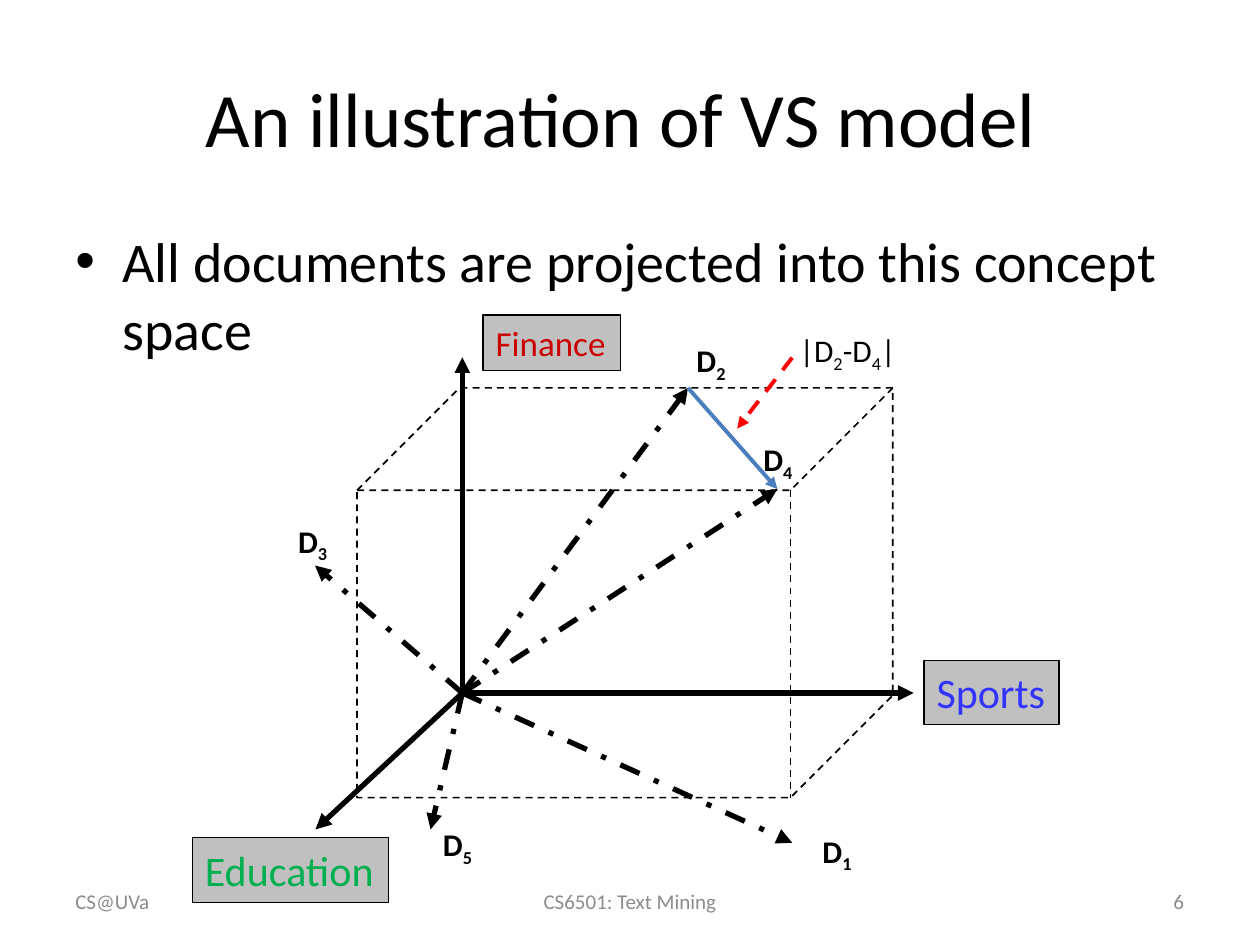
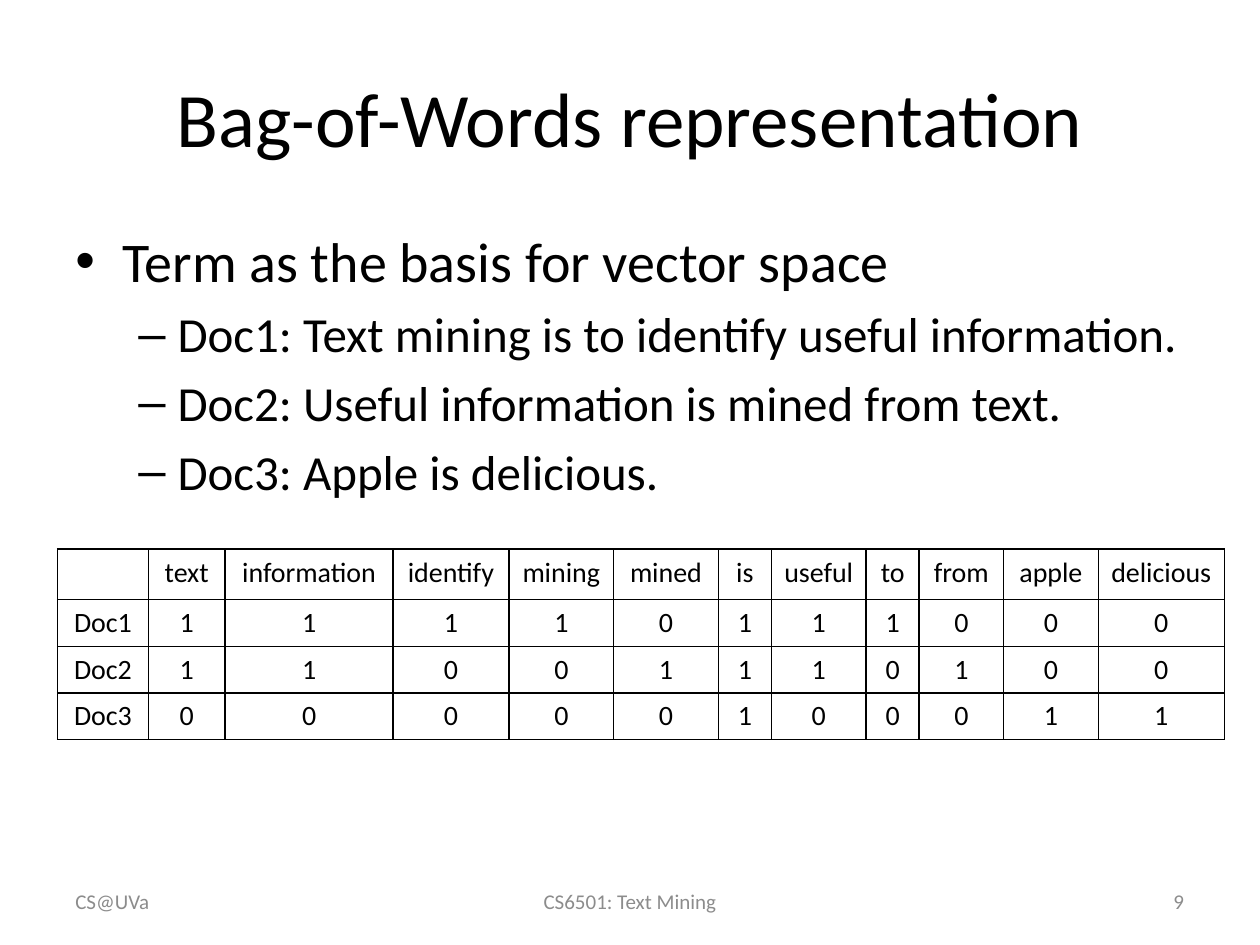
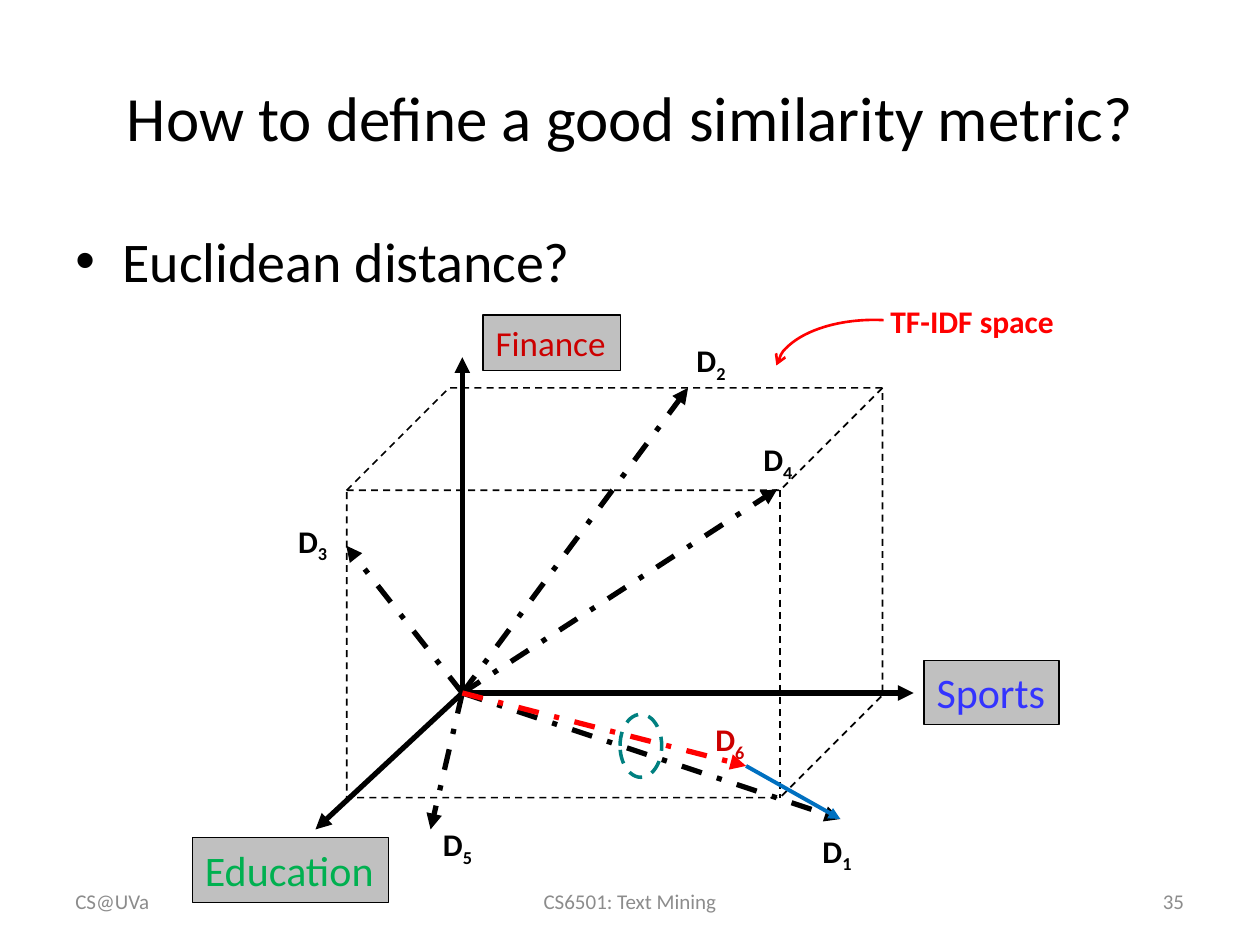
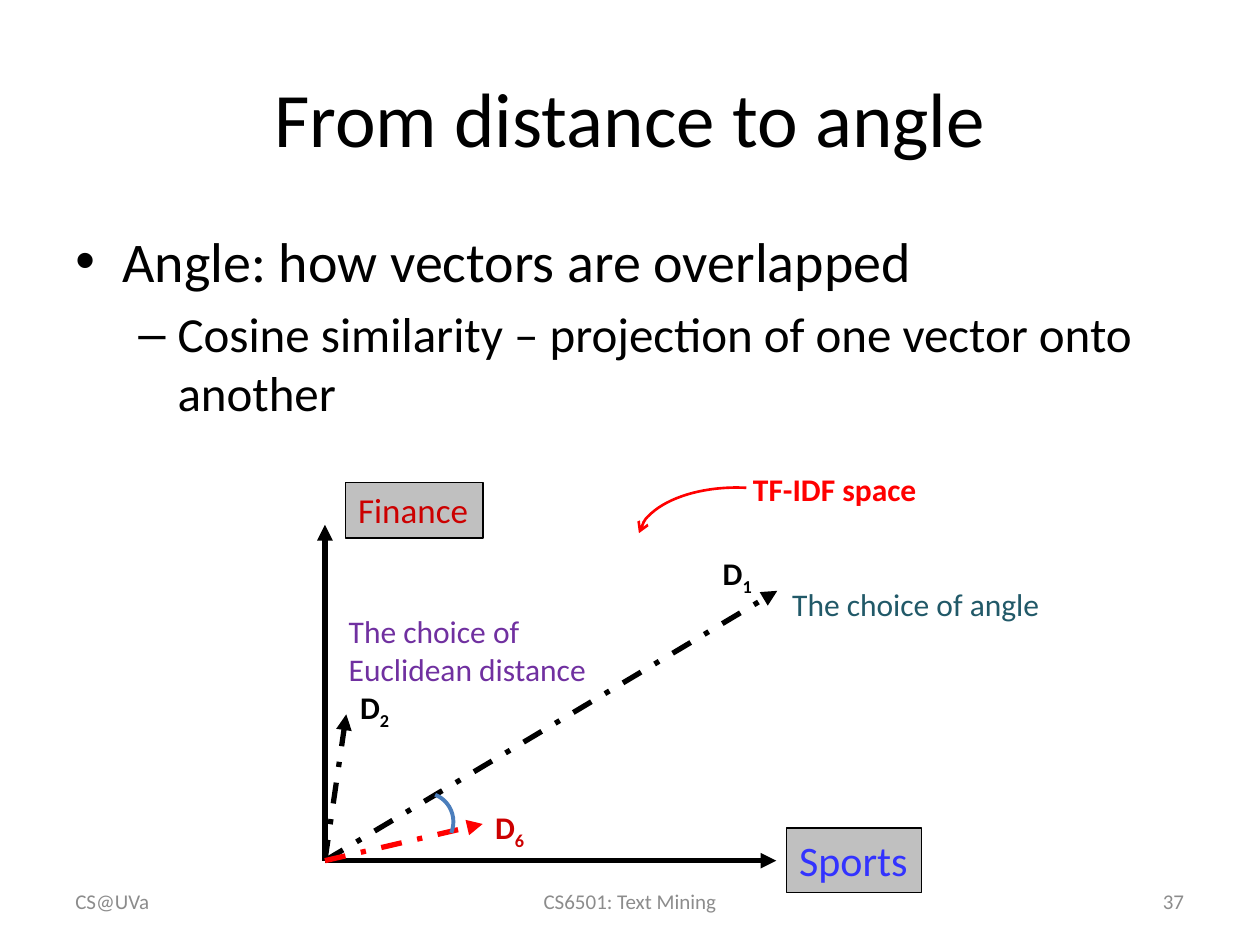
from pptx import Presentation
from pptx.util import Cm, Pt
from pptx.dml.color import RGBColor
from pptx.enum.dml import MSO_LINE
from pptx.enum.shapes import MSO_CONNECTOR, MSO_SHAPE
from pptx.enum.text import MSO_ANCHOR, MSO_AUTO_SIZE, PP_ALIGN
from pptx.oxml.ns import qn
from lxml.etree import SubElement

FONT = "Calibri"
BLACK, GRAY, FOOT = "000000", "C0C0C0", "8C8C8C"
RED, BRICK, BLUE = "FF0000", "CC0000", "4B7EBC"
DASH, DOTTED = MSO_LINE.DASH, MSO_LINE.DASH_DOT

# Boxes shared by all slides, in cm: left, top, width, height
TITLE = (1.27, 0.76, 22.86, 3.18)
BODY = (1.27, 4.45, 22.86, 12.57)
FOOTERS = [((1.27, 17.65, 5.92, 1.02), PP_ALIGN.LEFT),
           ((8.68, 17.65, 8.04, 1.02), PP_ALIGN.CENTER),
           ((18.2, 17.65, 5.92, 1.02), PP_ALIGN.RIGHT)]

# Bullet levels: sign, text size, margin, hanging indent
LEVELS = [("\u2022", 32, 0.95, 0.95), ("\u2013", 28, 2.06, 0.79)]

# Axes from the origin: tip, name, box, size, colour
FINANCE = ((0, -6.77), "Finance", (0.42, -7.62, 2.77, 1.12), 20, BRICK)
SPORTS = ((9.1, 0), "Sports", (9.31, -0.66, 2.72, 1.3), 24, "3333FF")
SCHOOL = ((-2.96, 2.75), "Education", (-5.44, 2.92, 3.96, 1.3), 24, "00B050")

# Document vectors from the origin: number, tip, label corner
COMMON = [(4, (6.35, -4.11), (5.82, -5.23)),
          (5, (-0.64, 2.75), (-0.64, 2.54)),
          (2, (4.55, -6.15), (4.47, -7.21))]


# ---- Shared helpers ----
def tint(code):
    return RGBColor.from_string(code)


def put(obj, **vals):
    for key, val in vals.items():
        setattr(obj, key, val)


def shift(base, part):
    """Move a point or box by the base point."""
    return (base[0] + part[0], base[1] + part[1], *part[2:])


def write(par, text, size, color=BLACK, bold=False):
    """Add text to a paragraph; an underscore lowers the next character."""
    first, *rest = text.split("_")
    bits = [(first, False)]
    for bit in rest:
        bits += [(bit[0], True), (bit[1:], False)]
    for bit, low in bits:
        if bit:
            run = par.add_run()
            run.text = bit
            put(run.font, name=FONT, size=Pt(size), bold=bold)
            run.font.color.rgb = tint(color)
            if low:
                run.font._element.set("baseline", "-25000")


def label(slide, box, text, size=18, color=BLACK, bold=False, wrap=True,
          align=PP_ALIGN.LEFT, anchor=MSO_ANCHOR.TOP):
    shape = slide.shapes.add_textbox(*map(Cm, box))
    put(shape.text_frame, word_wrap=wrap, vertical_anchor=anchor)
    par = shape.text_frame.paragraphs[0]
    par.alignment = align
    write(par, text, size, color, bold)


def stroke(shape, color, width, dash=None, head=None, tail=None):
    shape.line.color.rgb = tint(color)
    put(shape.line, width=Pt(width), dash_style=dash)
    for tag, kind in (("a:headEnd", head), ("a:tailEnd", tail)):
        if kind:
            SubElement(shape.line._get_or_add_ln(), qn(tag)).set("type", kind)


def arrow(slide, start, end, color=BLACK, width=3, dash=None):
    line = slide.shapes.add_connector(
        MSO_CONNECTOR.STRAIGHT, *map(Cm, (*start, *end)))
    stroke(line, color, width, dash, tail="triangle")
    SubElement(line._element.spPr, qn("a:effectLst"))


def outline(slide, kind, box, color, width, **ends):
    shape = slide.shapes.add_shape(kind, *map(Cm, box))
    shape.shadow.inherit = False
    shape.fill.background()
    stroke(shape, color, width, **ends)
    return shape


# ---- Slide frame: title, bullets, footers ----
def bullets(slide, box, items):
    frame = slide.shapes.add_textbox(*map(Cm, box)).text_frame
    frame.word_wrap = True
    for i, (level, text) in enumerate(items):
        sign, size, margin, hang = LEVELS[level]
        par = frame.add_paragraph() if i else frame.paragraphs[0]
        put(par, level=level, space_before=Pt(size * 0.2))
        props = par._p.get_or_add_pPr()
        props.set("marL", str(Cm(margin)))
        props.set("indent", str(-Cm(hang)))
        SubElement(props, qn("a:buFont")).set("typeface", "Arial")
        SubElement(props, qn("a:buChar")).set("char", sign)
        write(par, text, size)


def page(deck, title, items, number, size=44):
    slide = deck.slides.add_slide(deck.slide_layouts[5])
    head = slide.shapes.title
    put(head, **dict(zip(("left", "top", "width", "height"), map(Cm, TITLE))))
    put(head.text_frame, word_wrap=True, vertical_anchor=MSO_ANCHOR.MIDDLE,
        auto_size=MSO_AUTO_SIZE.NONE)
    par = head.text_frame.paragraphs[0]
    par.alignment = PP_ALIGN.CENTER
    write(par, title, size)
    bullets(slide, BODY, items)
    texts = ("CS@UVa", "CS6501: Text Mining", str(number))
    for (box, align), text in zip(FOOTERS, texts):
        label(slide, box, text, 12, FOOT, align=align,
              anchor=MSO_ANCHOR.MIDDLE)
    return slide


# ---- Vector space parts, placed from the origin ----
def axes(slide, base, items):
    for tip, name, box, size, color in items:
        arrow(slide, base, shift(base, tip))
        tag = outline(slide, MSO_SHAPE.RECTANGLE, shift(base, box),
                      BLACK, 0.75)
        tag.fill.solid()
        tag.fill.fore_color.rgb = tint(GRAY)
        put(tag.text_frame, word_wrap=False, vertical_anchor=MSO_ANCHOR.TOP)
        par = tag.text_frame.paragraphs[0]
        par.alignment = PP_ALIGN.LEFT
        write(par, name, size, color)


def cube(slide, base, left):
    outline(slide, MSO_SHAPE.CUBE, shift(base, (left, -6.15, 10.8, 8.26)),
            BLACK, 1, dash=DASH)


def docs(slide, base, items, color=BLACK, ink=BLACK):
    for number, tip, spot in items:
        arrow(slide, base, shift(base, tip), color, dash=DOTTED)
        label(slide, shift(base, (*spot, 1.17, 1.02)), f"D_{number}",
              color=ink, bold=True, wrap=False)


def note(slide, base):
    """Name of the space with its curved arrow."""
    spot = shift(base, (8.38, -8, 5.51, 1.02))
    label(slide, spot, "TF-IDF space", color=RED, bold=True)
    arc = outline(slide, MSO_SHAPE.ARC, shift(spot, (-2.06, 0.48, 3.96, 2.06)),
                  RED, 1.5, head="arrow")
    for i, angle in enumerate((183.18, 280.8)):
        arc.adjustments[i] = angle * 0.6    # 60000 units a degree


# ---- Term table ----
def terms(slide, box):
    heads = ("", "text", "information", "identify", "mining", "mined", "is",
             "useful", "to", "from", "apple", "delicious")
    counts = ("11110111000", "11001110100", "00000100011")
    widths = (1.83, 1.55, 3.38, 2.34, 2.11, 2.11, 1.07, 1.91, 1.07, 1.7,
              1.91, 2.54)
    rows = [heads] + [(f"Doc{i}", *row) for i, row in enumerate(counts, 1)]
    table = slide.shapes.add_table(len(rows), len(heads), *map(Cm, box)).table
    put(table, first_row=False, horz_banding=False)
    for col, width in zip(table.columns, widths):
        col.width = Cm(width)
    for i, row in enumerate(rows):
        table.rows[i].height = Cm(0.94 if i else 1.02)
        for j, text in enumerate(row):
            cell = table.cell(i, j)
            par = cell.text_frame.paragraphs[0]
            par.alignment = PP_ALIGN.CENTER
            write(par, text, 16)
            # Borders come before the fill in the cell properties
            props = cell._tc.get_or_add_tcPr()
            for side in ("a:lnL", "a:lnR", "a:lnT", "a:lnB"):
                edge = SubElement(props, qn(side), w=str(Pt(1)))
                fill = SubElement(edge, qn("a:solidFill"))
                SubElement(fill, qn("a:srgbClr"), val=BLACK)
            cell.fill.background()


# ---- Slides ----
def model(deck, base):
    slide = page(deck, "An illustration of VS model ", [
        (0, "All documents are projected into this concept space")], 6)
    cube(slide, base, -2.12)
    axes(slide, base, (SCHOOL, SPORTS, FINANCE))
    docs(slide, base, COMMON + [(1, (6.65, 3.02), (7.01, 2.67)),
                                (3, (-2.97, -2.57), (-3.56, -3.58))])
    # Distance between two documents
    arrow(slide, shift(base, (4.55, -6.15)), shift(base, (6.35, -4.11)),
          BLUE, 2.25)
    label(slide, shift(base, (6.55, -7.42, 2.54, 1.02)), "|D_2-D_4|")
    arrow(slide, shift(base, (6.65, -6.76)), shift(base, (5.54, -5.33)),
          RED, 2.25, DASH)


def words(deck):
    slide = page(deck, "Bag-of-Words representation", [
        (0, "Term as the basis for vector space"),
        (1, "Doc1: Text mining is to identify useful information."),
        (1, "Doc2: Useful information is mined from text."),
        (1, "Doc3: Apple is delicious.")], 9)
    terms(slide, (1.16, 11.07, 23.52, 3.84))


def metric(deck, base):
    slide = page(deck, "How to define a good similarity metric?",
                 [(0, "Euclidean distance?")], 35, 36)
    cube(slide, base, -2.33)
    axes(slide, base, (SCHOOL, SPORTS, FINANCE))
    near, far = (5.72, 1.47), (7.62, 2.54)
    docs(slide, base, COMMON + [(1, far, (7.01, 2.67)),
                                (3, (-2.34, -2.97), (-3.56, -3.58))])
    docs(slide, base, [(6, near, (4.85, 0.43))], RED, BRICK)
    outline(slide, MSO_SHAPE.OVAL, shift(base, (3.18, 0.43, 0.84, 1.27)),
            "008080", 2, dash=DASH)
    note(slide, base)
    arrow(slide, shift(base, near), shift(base, far), "0070C0", 2.25)


def angle(deck, base):
    slide = page(deck, "From distance to angle", [
        (0, "Angle: how vectors are overlapped"),
        (1, "Cosine similarity \u2013 projection of one vector onto another"),
    ], 37)
    axes(slide, base, (SPORTS, FINANCE))
    docs(slide, base, [(1, (9.12, -5.44), (7.77, -6.3)),
                       (2, (0.43, -2.95), (0.46, -3.61))])
    docs(slide, base, [(6, (3.18, -0.74), (3.18, -1.19))], RED, BRICK)
    note(slide, base)
    arc = outline(slide, MSO_SHAPE.ARC, shift(base, (1.42, -1.37, 1.17, 1.19)),
                  BLUE, 2.25)
    arc.rotation = 21.7
    label(slide, shift(base, (9.17, -5.69, 6.2, 1.02)),
          "The choice of angle", color="215968")
    label(slide, shift(base, (0.23, -5.13, 6.2, 1.8)),
          "The choice of Euclidean distance", color="7030A0")


deck = Presentation()
put(deck, slide_width=Cm(25.4), slide_height=Cm(19.05))
model(deck, (9.32, 13.97))
words(deck)
metric(deck, (9.32, 13.97))
angle(deck, (6.55, 17.35))
deck.save("out.pptx")
